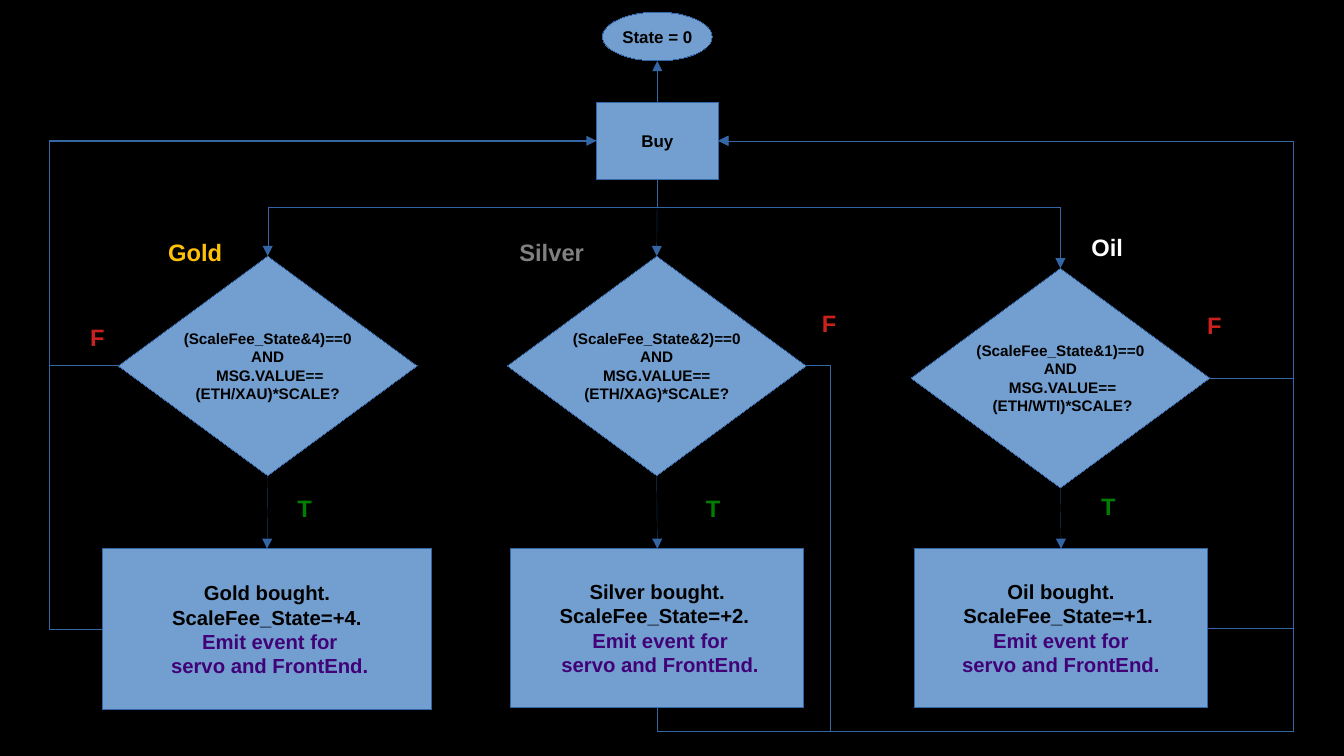
from dataclasses import dataclass

from lxml.etree import SubElement
from pptx import Presentation
from pptx.dml.color import RGBColor
from pptx.enum.shapes import MSO_CONNECTOR, MSO_SHAPE
from pptx.enum.text import MSO_ANCHOR, PP_ALIGN
from pptx.oxml.ns import qn
from pptx.util import Inches, Pt


@dataclass(frozen=True)
class Theme:
    font: str = "Arial"
    background: str = "000000"
    fill: str = "729FCF"
    line: str = "3465A4"
    ink: str = "000000"
    event: str = "410278"
    true: str = "007E02"
    false: str = "C9211E"
    gold: str = "FFC107"
    silver: str = "808080"
    oil: str = "FFFFFF"
    condition_size: int = 9
    node_size: int = 10
    result_size: int = 12
    label_size: int = 14


theme = Theme()
TOP, LEFT, BOTTOM, RIGHT = range(4)

deck = Presentation()
deck.slide_width, deck.slide_height = Inches(11.02), Inches(6.2)
page = deck.slides.add_slide(deck.slide_layouts[6])
page.background.fill.solid()
page.background.fill.fore_color.rgb = RGBColor.from_string(theme.background)


def add_text(text, left, top, width, height, *, size, color=theme.ink,
             shape=None, accent_from=None):
    """Add a filled, centred shape, or a plain label when shape is None."""
    place = [Inches(length) for length in (left, top, width, height)]
    if shape is None:
        box = page.shapes.add_textbox(*place)
    else:
        box = page.shapes.add_shape(shape, *place)
        box.shadow.inherit = False
        box.fill.solid()
        box.fill.fore_color.rgb = RGBColor.from_string(theme.fill)
        box.line.color.rgb = RGBColor.from_string(theme.line)
        box.line._get_or_add_ln().set("w", "0")
        box.text_frame.vertical_anchor = MSO_ANCHOR.MIDDLE
    frame = box.text_frame
    frame.word_wrap = shape is None
    for number, words in enumerate(text.split("\n")):
        para = frame.add_paragraph() if number else frame.paragraphs[0]
        para.alignment = PP_ALIGN.LEFT if shape is None else PP_ALIGN.CENTER
        span = para.add_run()
        span.text = words
        span.font.name, span.font.size, span.font.bold = theme.font, Pt(size), True
        accented = accent_from is not None and number >= accent_from
        span.font.color.rgb = RGBColor.from_string(theme.event if accented else color)
    return box


def add_route(begin, begin_side, end, end_side, *, bends=(), rotation=0, flips="",
              arrow=True):
    """Join two boxes; bends are the x or y values at which an elbow turns."""
    kind = MSO_CONNECTOR.ELBOW if bends else MSO_CONNECTOR.STRAIGHT
    line = page.shapes.add_connector(kind, 0, 0, 0, 0)
    line.begin_connect(begin, begin_side)
    if end_side is None:
        line.end_x, line.end_y = end.left + end.width // 2, end.top + end.height
    else:
        line.end_connect(end, end_side)
    properties = line._element.spPr
    if bends:
        # Bend positions become fractions of the way from begin to end
        spans = [(line.begin_x, line.end_x), (line.begin_y, line.end_y)]
        first_axis = 1 if begin_side in (TOP, BOTTOM) else 0
        geometry = properties.find(qn("a:prstGeom"))
        geometry.set("prst", f"bentConnector{len(bends) + 2}")
        for number, bend in enumerate(bends):
            start, finish = spans[(first_axis + number) % 2]
            share = round((Inches(bend) - start) / (finish - start) * 100000)
            SubElement(geometry.find(qn("a:avLst")), qn("a:gd"),
                       name=f"adj{number + 1}", fmla=f"val {share}")
        # A quarter turn swaps width and height around the centre
        if rotation in (90, 270):
            width, height = line.width, line.height
            line.left += (width - height) // 2
            line.top += (height - width) // 2
            line.width, line.height = height, width
        frame = properties.find(qn("a:xfrm"))
        frame.set("rot", str(rotation * 60000))
        frame.set("flipH", str(int("h" in flips)))
        frame.set("flipV", str(int("v" in flips)))
    line.line.color.rgb = RGBColor.from_string(theme.line)
    outline = line.line._get_or_add_ln()
    outline.set("w", "0")
    if arrow:
        SubElement(outline, qn("a:tailEnd"), type="triangle")
    SubElement(properties, qn("a:effectLst"))


# Start of the flow
state = add_text("State = 0", 4.94, 0.1, 0.9, 0.4, size=theme.node_size,
                 shape=MSO_SHAPE.OVAL)
buy = add_text("Buy", 4.89, 0.84, 1, 0.63, size=theme.node_size,
               shape=MSO_SHAPE.RECTANGLE)
add_route(buy, TOP, state, None)

# One branch per commodity: diamond corner, result place, two texts
branches = [
    ("Gold", 0.97, 2.1, (0.84, 4.5, 2.7, 1.32),
     "(ScaleFee_State&4)==0\nAND\n MSG.VALUE==\n(ETH/XAU)*SCALE?",
     "Gold bought.\nScaleFee_State=+4.\n Emit event for\n servo and FrontEnd."),
    ("Silver", 4.16, 2.1, (4.19, 4.5, 2.4, 1.3),
     "(ScaleFee_State&2)==0\nAND\n MSG.VALUE== \n(ETH/XAG)*SCALE?",
     "Silver bought.\nScaleFee_State=+2. \n Emit event for\n servo and FrontEnd."),
    ("Oil", 7.47, 2.2, (7.5, 4.5, 2.4, 1.3),
     "(ScaleFee_State&1)==0\nAND\n MSG.VALUE==\n (ETH/WTI)*SCALE?",
     "Oil bought.\nScaleFee_State=+1. \n Emit event for \nservo and FrontEnd."),
]
checks, results = {}, {}
for name, left, top, result_place, condition, outcome in branches:
    checks[name] = add_text(condition, left, top, 2.45, 1.8,
                            size=theme.condition_size, shape=MSO_SHAPE.DIAMOND)
    results[name] = add_text(outcome, *result_place, size=theme.result_size,
                             shape=MSO_SHAPE.RECTANGLE, accent_from=2)
    add_route(checks[name], BOTTOM, results[name], TOP)

# Split from Buy to the three checks
split_y = 1.7
add_route(buy, BOTTOM, checks["Silver"], TOP)
add_route(buy, BOTTOM, checks["Gold"], TOP, bends=[split_y], rotation=90)
add_route(buy, BOTTOM, checks["Oil"], TOP, bends=[split_y], rotation=270, flips="h")

# Return loops to Buy
left_x, right_x, low_y, silver_x = 0.4, 10.6, 6, 6.81
for boxes in (checks, results):
    add_route(boxes["Gold"], LEFT, buy, LEFT, bends=[left_x], rotation=180, flips="h",
              arrow=boxes is results)
    add_route(boxes["Oil"], RIGHT, buy, RIGHT, bends=[right_x], flips="hv")
add_route(results["Silver"], BOTTOM, buy, RIGHT, bends=[low_y, right_x],
          rotation=90, flips="hv")
add_route(checks["Silver"], RIGHT, results["Silver"], BOTTOM, bends=[silver_x, low_y],
          flips="h", arrow=False)

# Branch names and outcome labels
labels = [
    ("Gold", 1.28, 1.9, 1.06, theme.gold),
    ("Silver", 4.16, 1.9, 0.8, theme.silver),
    ("Oil", 8.85, 1.86, 0.7, theme.oil),
    ("F", 0.64, 2.6, 0.46, theme.false),
    ("F", 6.64, 2.48, 0.46, theme.false),
    ("F", 9.8, 2.5, 0.46, theme.false),
    ("T", 2.34, 4, 0.46, theme.true),
    ("T", 5.69, 4, 0.46, theme.true),
    ("T", 8.93, 3.98, 0.46, theme.true),
]
for text, left, top, width, color in labels:
    add_text(text, left, top, width, 0.32, size=theme.label_size, color=color)

deck.save("out.pptx")
